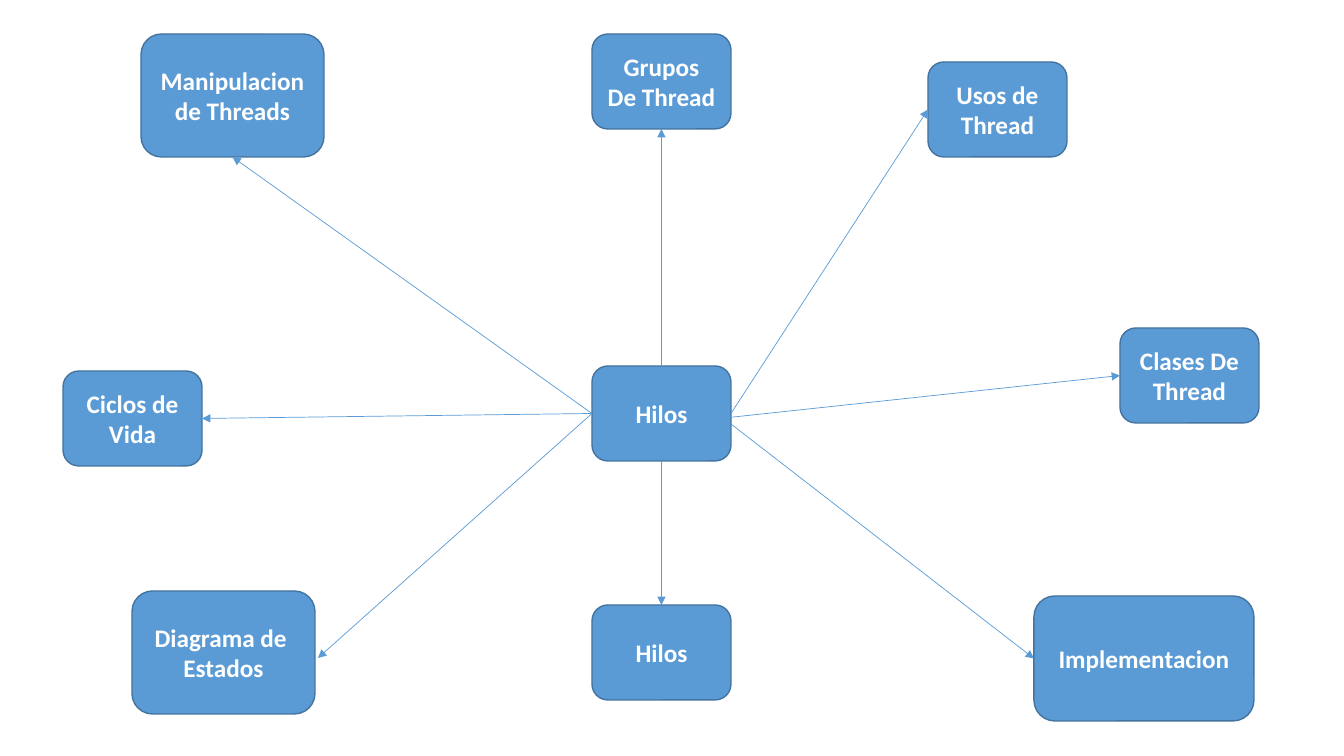
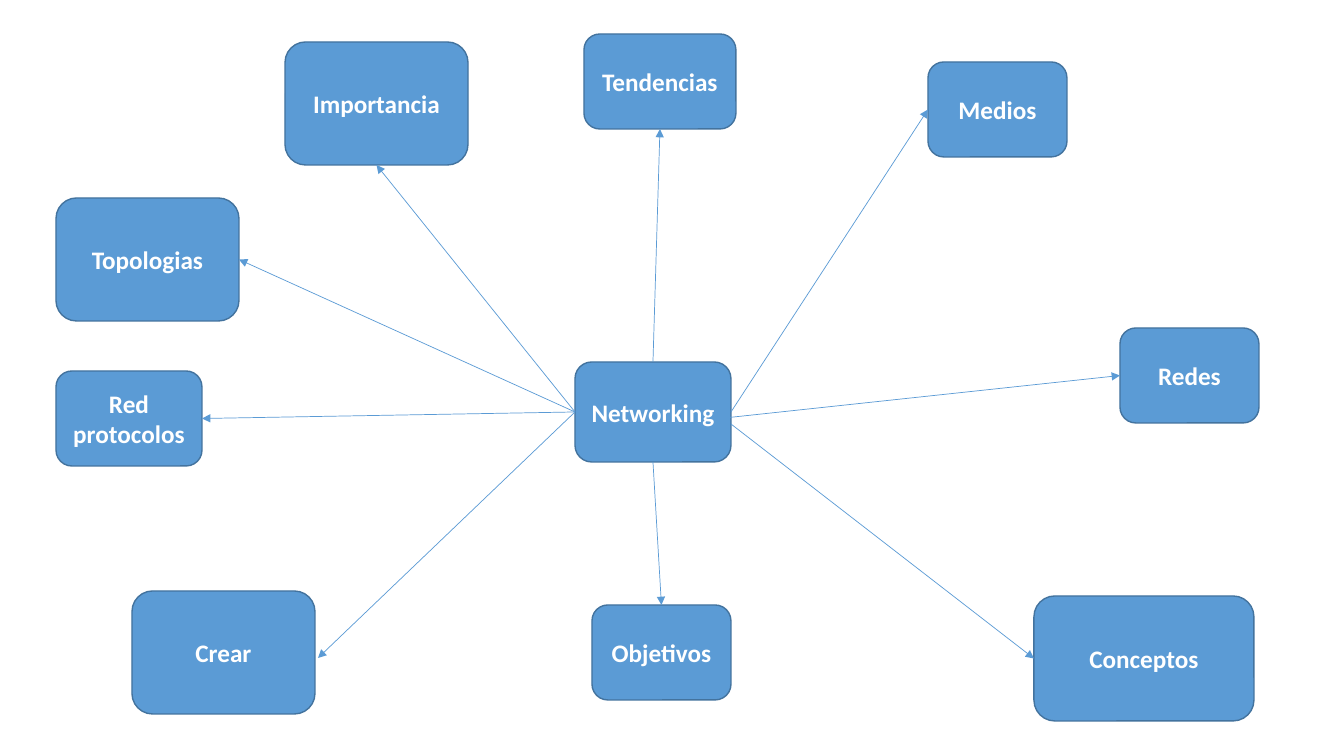
from dataclasses import dataclass

import pptx
import pptx.dml.color
import pptx.enum.shapes
import pptx.enum.text
import pptx.oxml
import pptx.oxml.ns
import pptx.util

SCALE = 914400 / 100.8
SLIDE_WIDTH, SLIDE_HEIGHT = 1344, 756
BLANK_LAYOUT = 6
TOP, LEFT, BOTTOM, RIGHT = range(4)  # connection sites of a rounded rectangle


@dataclass(frozen=True)
class Theme:
    """Colours, font and sizes shared by both maps."""
    node_fill = pptx.dml.color.RGBColor(0x5B, 0x9B, 0xD5)
    node_border = pptx.dml.color.RGBColor(0x43, 0x73, 0x9E)
    label = pptx.dml.color.RGBColor(0xFF, 0xFF, 0xFF)
    font = "Calibri"
    label_size = pptx.util.Pt(18)
    border_width = pptx.util.Pt(1)
    arrow_width = pptx.util.Pt(0.5)


def px(length):
    """Turn whole pixels into EMU."""
    return pptx.util.Emu(round(length * SCALE))


class MindMap:
    """Draws nodes and arrows on the current slide in one style."""

    def __init__(self, theme):
        """Start an empty presentation of the right size."""
        self.theme = theme
        self.deck = pptx.Presentation()
        self.deck.slide_width = px(SLIDE_WIDTH)
        self.deck.slide_height = px(SLIDE_HEIGHT)
        self.slide = None

    def new_slide(self):
        """Add a blank slide and make it current."""
        self.slide = self.deck.slides.add_slide(self.deck.slide_layouts[BLANK_LAYOUT])

    def node(self, label, box):
        """Add a rounded box with a centred bold label."""
        node = self.slide.shapes.add_shape(
            pptx.enum.shapes.MSO_SHAPE.ROUNDED_RECTANGLE, *map(px, box))
        node.shadow.inherit = False
        node.fill.solid()
        node.fill.fore_color.rgb = self.theme.node_fill
        node.line.color.rgb = self.theme.node_border
        node.line.width = self.theme.border_width
        frame = node.text_frame
        frame.text = label
        frame.word_wrap = True
        frame.vertical_anchor = pptx.enum.text.MSO_ANCHOR.MIDDLE
        for paragraph in frame.paragraphs:
            paragraph.alignment = pptx.enum.text.PP_ALIGN.CENTER
            for run in paragraph.runs:
                run.font.name = self.theme.font
                run.font.size = self.theme.label_size
                run.font.bold = True
                run.font.color.rgb = self.theme.label
        return node

    def arrow(self, hub, start, topic, end):
        """Point from hub to topic; each end is a connection site or an (x, y) point."""
        ends = [(0, 0) if isinstance(end_at, int) else end_at for end_at in (start, end)]
        arrow = self.slide.shapes.add_connector(
            pptx.enum.shapes.MSO_CONNECTOR.STRAIGHT,
            *(px(value) for point in ends for value in point))
        if isinstance(start, int):
            arrow.begin_connect(hub, start)
        if isinstance(end, int):
            arrow.end_connect(topic, end)
        arrow.line.color.rgb = self.theme.node_fill
        arrow.line.width = self.theme.arrow_width
        properties = arrow._element.spPr
        outline = properties.find(pptx.oxml.ns.qn("a:ln"))
        namespace = pptx.oxml.ns.nsdecls("a")
        outline.append(pptx.oxml.parse_xml(f'<a:tailEnd {namespace} type="triangle"/>'))
        properties.append(pptx.oxml.parse_xml(f"<a:effectLst {namespace}/>"))

    def draw(self, hub_label, hub_box, topics):
        """Build one slide: a hub and an arrow to every topic."""
        self.new_slide()
        hub = self.node(hub_label, hub_box)
        for label, (box, start, end) in topics:
            self.arrow(hub, start, self.node(label, box), end)


SMALL, LARGE = (139, 95), (183, 123)

# Places used by both maps: box, start on the hub, end at the topic.
UPPER_RIGHT = ((928, 62, *SMALL), RIGHT, LEFT)
MIDDLE_RIGHT = ((1120, 328, *SMALL), (715, 419), LEFT)
LOWER_RIGHT = ((1034, 596, 220, 125), (731, 424), LEFT)
LOWER_CENTRE = ((592, 605, *SMALL), BOTTOM, TOP)
LOWER_LEFT = ((132, 591, *LARGE), LEFT, (318, 658))

THREADS = [
    ("Grupos\nDe Thread", ((592, 34, *SMALL), TOP, BOTTOM)),
    ("Manipulacion de Threads", ((141, 34, *LARGE), LEFT, BOTTOM)),
    ("Usos de Thread", UPPER_RIGHT),
    ("Ciclos de Vida", ((63, 371, *SMALL), LEFT, RIGHT)),
    ("Hilos", LOWER_CENTRE),
    ("Implementacion", LOWER_RIGHT),
    ("Diagrama de \nEstados", LOWER_LEFT),
    ("Clases De Thread", MIDDLE_RIGHT),
]
NETWORKS = [
    ("Tendencias", ((584, 34, 152, 95), TOP, BOTTOM)),
    ("Importancia", ((285, 42, *LARGE), LEFT, BOTTOM)),
    ("Medios", UPPER_RIGHT),
    ("Red\nprotocolos", ((56, 371, 146, 95), LEFT, RIGHT)),
    ("Objetivos", LOWER_CENTRE),
    ("Conceptos", LOWER_RIGHT),
    ("Crear", LOWER_LEFT),
    ("Redes", MIDDLE_RIGHT),
    ("Topologias", ((56, 198, *LARGE), LEFT, RIGHT)),
]

maps = MindMap(Theme())
maps.draw("Hilos", (592, 366, *SMALL), THREADS)
maps.draw("Networking", (575, 362, 156, 100), NETWORKS)
maps.deck.save("out.pptx")
